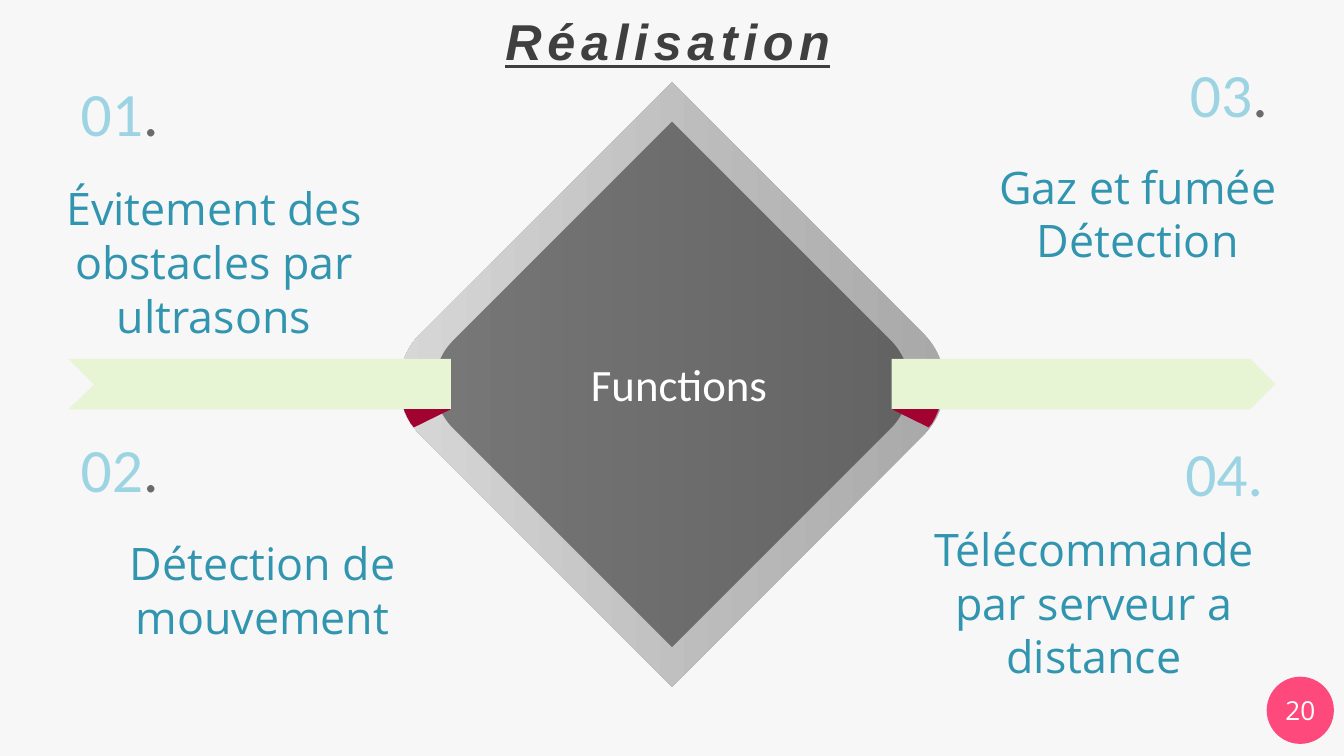
"""Build the "Réalisation" slide: four functions around a central diamond."""
from pptx import Presentation
from pptx.dml.color import RGBColor
from pptx.enum.shapes import MSO_SHAPE as Shape
from pptx.enum.text import MSO_ANCHOR as Anchor, PP_ALIGN as Align
from pptx.oxml.ns import qn
from pptx.util import Inches, Pt
from lxml.etree import SubElement

THEME = {
    "background": "F7F7F7", "ribbon": "E7F5D4", "fold": "A1022F", "badge": "FD497C",
    "frame_dark": "A6A6A6", "frame_light": "D9D9D9", "diamond": "1C1C1C",
    "number": "9DD4E3", "dot": "6B6B6B", "label": "3195B0", "title": "3F3F3F", "white": "FFFFFF",
    "number_size": 66, "label_size": 48, "title_size": 54, "page_size": 28,
    "body_font": "Open Sans", "number_font": "Calibri", "title_font": "Arial",
}
CENTER_X, CENTER_Y = 10, 5.72
RIBBON_TOP, RIBBON_HEIGHT = 5.34, 0.75
MIRROR_WIDTH = 19.98

TITLE = "Réalisation"
CENTER_LABEL = "Functions"
PAGE = "20"
NUMBERS = [
    ("01", "dot", (0.87, 1.07), Align.RIGHT),
    ("02", "dot", (0.87, 6.37), Align.RIGHT),
    ("03", "dot", (17.61, 0.79), Align.LEFT),
    ("04", "number", (17.54, 6.42), Align.LEFT),
]
LABELS = [
    (["Évitement des obstacles par ultrasons"], (0.46, 2.62, 5.45, 2.56)),
    (["Détection de mouvement"], (1.06, 7.9, 5.69, 1.77)),
    (["Gaz et fumée", "Détection"], (14.49, 2.3, 4.88, 1.77)),
    (["Télécommande par serveur a distance"], (13.53, 7.69, 5.5, 3.38)),
]
LEFT_RIBBON = [(1.02, 5.34), (6.71, 5.34), (6.71, 6.09), (1.02, 6.09), (1.4, 5.72)]
LEFT_FOLD = [(6.01, 6.09), (6.71, 6.09), (6.16, 6.36), (6.11, 6.3), (6.06, 6.21), (6.02, 6.12)]


def color(name):
    """Return a theme colour."""
    return RGBColor.from_string(THEME[name])


def paint(shape, fill):
    """Give a shape a flat theme fill without line or shadow."""
    shape.shadow.inherit = False
    shape.line.fill.background()
    shape.fill.solid()
    shape.fill.fore_color.rgb = color(fill)
    return shape


def add_shape(slide, kind, box, fill):
    """Add a preset shape."""
    return paint(slide.shapes.add_shape(kind, *map(Inches, box)), fill)


def add_outline(slide, points, fill):
    """Add a closed polygon given in inches."""
    corners = [(Inches(x), Inches(y)) for x, y in points]
    builder = slide.shapes.build_freeform(*corners[0])
    builder.add_line_segments(corners[1:], close=True)
    return paint(builder.convert_to_shape(), fill)


def add_diamond(slide, side, fill):
    """Add a square with two rounded corners, turned onto its tip."""
    box = (CENTER_X - side / 2, CENTER_Y - side / 2, side, side)
    shape = add_shape(slide, Shape.ROUND_2_DIAG_RECTANGLE, box, fill)
    shape.rotation = 135
    return shape


def write(frame, paragraphs, size, font, align=Align.CENTER, anchor=Anchor.TOP,
          margins=(0.1, 0.05), **style):
    """Fill a text frame with paragraphs made of (text, colour) runs."""
    frame.word_wrap = True
    frame.vertical_anchor = anchor
    frame.margin_left = frame.margin_right = Inches(margins[0])
    frame.margin_top = frame.margin_bottom = Inches(margins[1])
    for index, runs in enumerate(paragraphs):
        paragraph = frame.add_paragraph() if index else frame.paragraphs[0]
        paragraph.alignment = align
        for text, fill in runs:
            run = paragraph.add_run()
            run.text = text
            run.font.size, run.font.name = Pt(size), font
            run.font.color.rgb = color(fill)
            for name, value in style.items():
                setattr(run.font, name, value)


def add_text(slide, box, paragraphs, size, font, **style):
    """Add a text box."""
    frame = slide.shapes.add_textbox(*map(Inches, box)).text_frame
    write(frame, paragraphs, size, font, **style)


def add_title(slide):
    """Place and format the title placeholder."""
    title = slide.shapes.title
    title.left, title.top, title.width, title.height = map(Inches, (3.59, 0.1, 12.21, 1.01))
    write(title.text_frame, [[(TITLE, "title")]], THEME["title_size"], THEME["title_font"],
          anchor=Anchor.MIDDLE, bold=True, italic=True, underline=True)
    paragraph = title.text_frame.paragraphs[0]
    paragraph._p.get_or_add_pPr().set("indent", str(Inches(0.49)))
    paragraph.runs[0]._r.get_or_add_rPr().set("spc", "600")


def add_graphics(slide):
    """Draw the badge, diamonds, ribbons and folds."""
    add_shape(slide, Shape.OVAL, (18.85, 10.07, 1, 1), "badge")
    frame = add_diamond(slide, 6.36, "frame_dark")
    frame.fill.gradient()
    frame.fill.gradient_angle = 315
    for stop, name in zip(frame.fill.gradient_stops, ("frame_dark", "frame_light")):
        stop.color.rgb = color(name)
    diamond = add_diamond(slide, 5.53, "diamond")
    tint = diamond._element.spPr.find(qn("a:solidFill"))[0]
    SubElement(tint, qn("a:alpha")).set("val", "50000")
    add_shape(slide, Shape.PENTAGON, (13.27, RIBBON_TOP, 5.71, RIBBON_HEIGHT), "ribbon")
    add_outline(slide, LEFT_RIBBON, "ribbon")
    add_outline(slide, LEFT_FOLD, "fold")
    add_outline(slide, [(MIRROR_WIDTH - x, y) for x, y in LEFT_FOLD], "fold")


def main():
    """Create and save the presentation."""
    presentation = Presentation()
    presentation.slide_width, presentation.slide_height = Inches(20), Inches(11.25)
    slide = presentation.slides.add_slide(presentation.slide_layouts[5])
    slide.background.fill.solid()
    slide.background.fill.fore_color.rgb = color("background")
    add_graphics(slide)
    for lines, box in LABELS:
        add_text(slide, box, [[(line, "label")] for line in lines], THEME["label_size"],
                 THEME["body_font"], margins=(0.15, 0.07))
    for number, dot, place, align in NUMBERS:
        add_text(slide, (*place, 1.59, 1.21), [[(number, "number"), (".", dot)]],
                 THEME["number_size"], THEME["number_font"], align=align)
    add_text(slide, (7.91, 5.26, 4.39, 0.91), [[(CENTER_LABEL, "white")]],
             THEME["label_size"], THEME["number_font"], anchor=Anchor.MIDDLE)
    add_text(slide, (18.76, 10.27, 1.18, 0.6), [[(PAGE, "white")]], THEME["page_size"],
             THEME["body_font"], anchor=Anchor.MIDDLE, margins=(0.18, 0.09))
    add_title(slide)
    presentation.save("out.pptx")


if __name__ == "__main__":
    main()
